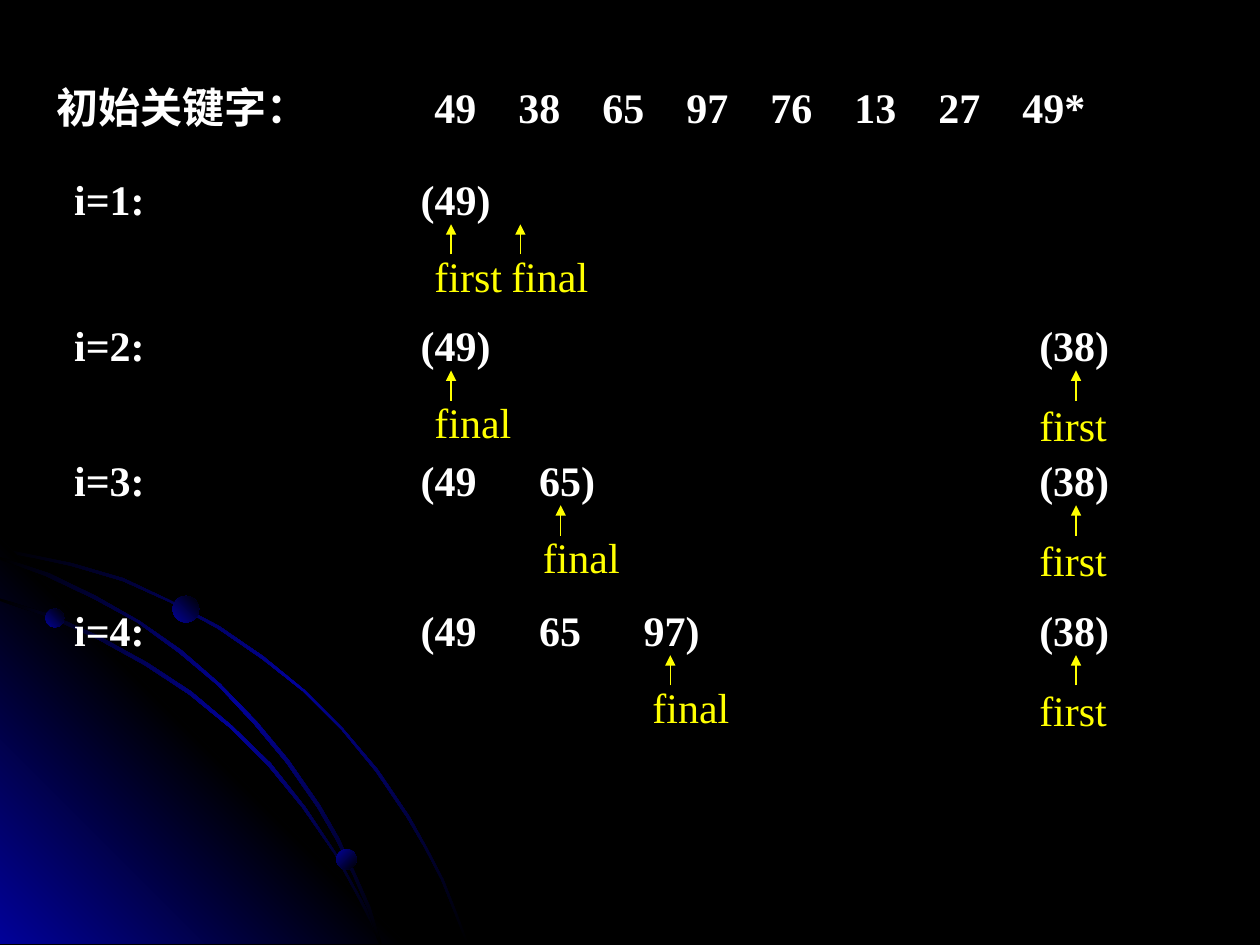
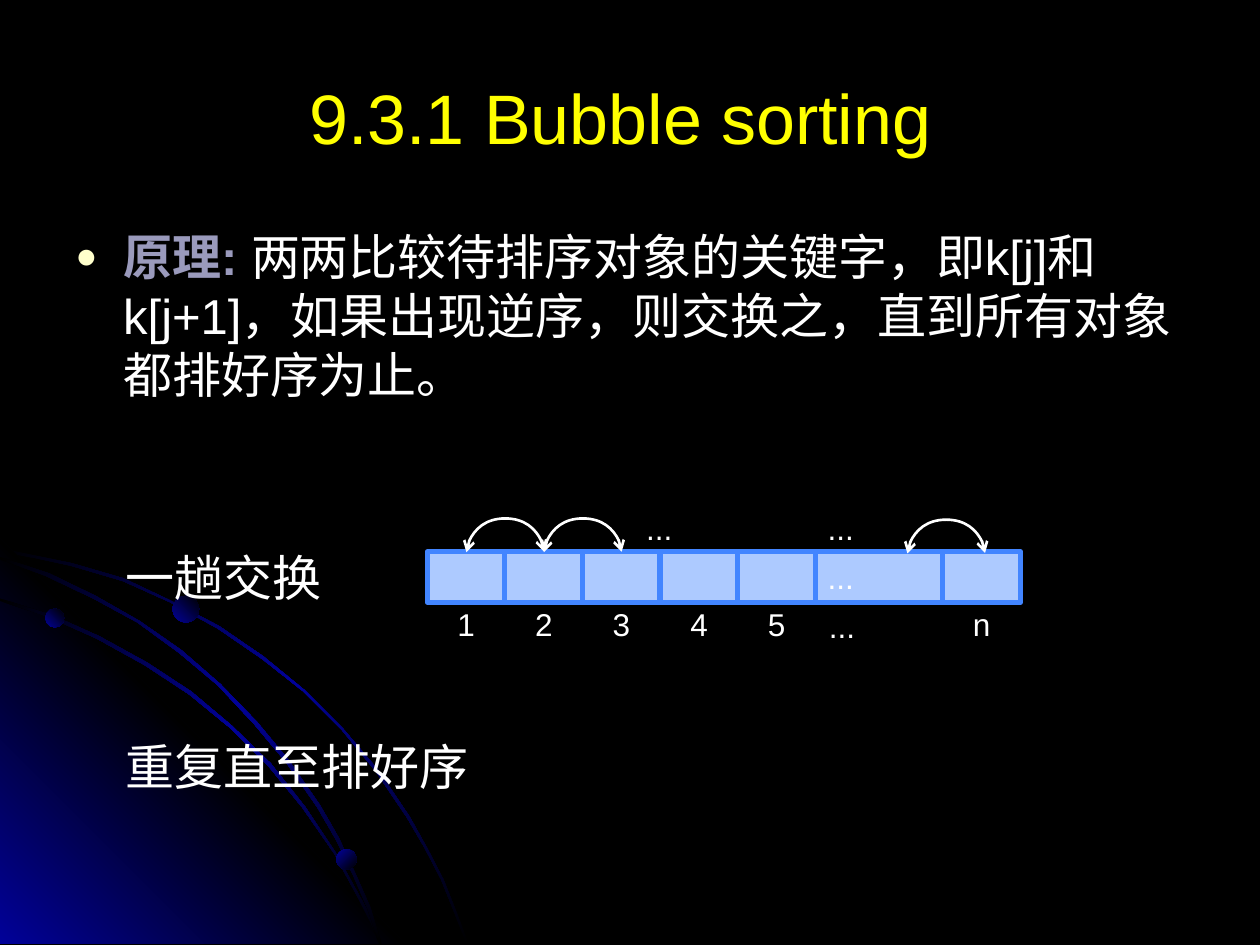
from lxml import etree
from pptx import Presentation
from pptx.dml.color import RGBColor
from pptx.enum.shapes import MSO_CONNECTOR, MSO_SHAPE
from pptx.enum.text import MSO_ANCHOR, PP_ALIGN
from pptx.oxml.ns import qn
from pptx.util import Inches, Pt

STRAIGHT, CURVE = MSO_CONNECTOR.STRAIGHT, MSO_CONNECTOR.CURVE
RECTANGLE, OVAL = MSO_SHAPE.RECTANGLE, MSO_SHAPE.OVAL
TOP, MIDDLE = MSO_ANCHOR.TOP, MSO_ANCHOR.MIDDLE
LEFT, CENTER = PP_ALIGN.LEFT, PP_ALIGN.CENTER

COLORS = {
    "background": "000000",
    "glow": "010199",
    "text": "FFFFFF",
    "accent": "FFFF00",
    "bullet": "FFFFCC",
    "term": "9A9ABC",
    "cell": "ADCAFF",
    "cell_edge": "4285FF",
}
SANS, SERIF = "Arial", "Times New Roman"

ARC_GLOW = ("background", "glow", "background")
CORNER_GLOW = ("glow", "background", "glow")
DOT_GLOW = ("glow", "background")

OUTER_ARC = [
    (0.57, 4.47), (0.28, 4.41), (0, 4.35), (0, 4.38), (0.28, 4.43), (0.56, 4.49),
    (0.97, 4.61), (1.35, 4.78), (1.73, 4.99), (2.08, 5.23), (2.41, 5.49), (2.71, 5.79),
    (2.98, 6.12), (3.23, 6.49), (3.37, 6.73), (3.5, 6.98), (3.6, 7.23), (3.7, 7.49),
    (3.72, 7.49), (3.62, 7.23), (3.52, 6.98), (3.39, 6.73), (3.25, 6.48), (3, 6.11),
    (2.72, 5.78), (2.42, 5.48), (2.09, 5.21), (1.74, 4.97), (1.36, 4.77), (0.98, 4.59),
]
CORNER = [(3.22, 7.49), (0, 7.49), (0, 4.27)]
INNER_ARC = [
    (2.85, 7.14), (2.94, 7.32), (3.01, 7.49), (3.03, 7.49), (2.96, 7.3), (2.86, 7.12),
    (2.66, 6.76), (2.42, 6.4), (2.15, 6.06), (1.84, 5.76), (1.52, 5.49), (1.17, 5.26),
    (0.79, 5.05), (0.41, 4.88), (0, 4.75), (0, 4.77), (0.39, 4.9), (0.77, 5.07),
    (1.15, 5.28), (1.5, 5.51), (1.83, 5.78), (2.13, 6.08), (2.4, 6.41), (2.65, 6.77),
]
MIDDLE_ARC = [
    (0, 4.42), (0, 4.44), (0.36, 4.57), (0.74, 4.75), (1.09, 4.94), (1.42, 5.18),
    (1.73, 5.44), (2.02, 5.75), (2.27, 6.05), (2.52, 6.41), (2.67, 6.67), (2.8, 6.94),
    (2.92, 7.22), (3.01, 7.49), (3.03, 7.49), (2.94, 7.2), (2.82, 6.93), (2.69, 6.65),
    (2.54, 6.39), (2.29, 6.03), (2.04, 5.73), (1.75, 5.43), (1.44, 5.16), (1.11, 4.93),
    (0.76, 4.73), (0.39, 4.55),
]
OUTLINES = [
    (OUTER_ARC, ARC_GLOW, 45),
    (CORNER, CORNER_GLOW, 315),
    (INNER_ARC, ARC_GLOW, 45),
    (MIDDLE_ARC, ARC_GLOW, 45),
]
DOTS = [(0.36, 4.83, 0.15, 315), (2.67, 6.74, 0.16, 45), (1.37, 4.73, 0.21, 315)]

KEY_STOPS = [3 + i * 2 / 3 for i in range(8)]
STEP_STOPS = [2.75, 3.69, 4.52, 7.66]
FIRST_RIGHT = ("first", 8.15, 8.54, 0.63)
STEPS = [
    (1.33, "i=1:\t(49)", [("first", 3.35, 3.58, 0.61), ("final", 3.96, 4.13, 0.61)]),
    (2.49, "i=2:\t(49)\t\t\t(38)", [("final", 3.35, 3.58, 0.61), FIRST_RIGHT]),
    (3.56, "i=3:\t(49\t65)\t\t(38)", [("final", 4.21, 4.45, 0.61), FIRST_RIGHT]),
    (4.75, "i=4:\t(49\t65\t97)\t(38)", [("final", 5.08, 5.32, 0.61), FIRST_RIGHT]),
]


def rgb(name):
    return RGBColor.from_string(COLORS[name])


def child(parent, tag, **attributes):
    return etree.SubElement(parent, qn(tag), **attributes)


def paint_glow(shape, stops, angle):
    shape.shadow.inherit = False
    shape.line.fill.background()
    shape.fill.gradient()
    shape.fill.gradient_angle = 360 - angle
    stop_list = shape._element.spPr.find(qn("a:gradFill")).find(qn("a:gsLst"))
    for stop in list(stop_list):
        stop_list.remove(stop)
    for i, name in enumerate(stops):
        stop = child(stop_list, "a:gs", pos=str(100000 * i // (len(stops) - 1)))
        child(stop, "a:srgbClr", val=COLORS[name])


def add_orbits(slide):
    for points, stops, angle in OUTLINES:
        corners = [(Inches(x), Inches(y)) for x, y in points]
        outline = slide.shapes.build_freeform(*corners[0])
        outline.add_line_segments(corners[1:], close=True)
        paint_glow(outline.convert_to_shape(), stops, angle)
    for left, top, size, angle in DOTS:
        dot = slide.shapes.add_shape(
            OVAL, Inches(left), Inches(top), Inches(size), Inches(size))
        paint_glow(dot, DOT_GLOW, angle)


def add_run(paragraph, text, size, color="text", font=SANS, bold=False):
    run = paragraph.add_run()
    run.text = text
    run.font.size = Pt(size)
    run.font.name = font
    run.font.bold = bold
    run.font.color.rgb = rgb(color)


def add_frame(slide, left, top, width, height, align=LEFT, anchor=TOP):
    frame = slide.shapes.add_textbox(
        Inches(left), Inches(top), Inches(width), Inches(height)).text_frame
    frame.word_wrap = True
    frame.vertical_anchor = anchor
    frame.paragraphs[0].alignment = align
    return frame.paragraphs[0]


def add_key_row(slide, left, top, text, stops):
    row = add_frame(slide, left, top, 9.2, 0.5)
    tabs = child(row._p.get_or_add_pPr(), "a:tabLst")
    for stop in stops:
        child(tabs, "a:tab", pos=str(Inches(stop)), algn="l")
    add_run(row, text, 24, font=SERIF, bold=True)


def add_arrow(slide, kind, start, end, color, width, **heads):
    arrow = slide.shapes.add_connector(kind, *map(Inches, start + end))
    arrow.line.color.rgb = rgb(color)
    arrow.line.width = Pt(width)
    line = arrow.line._get_or_add_ln()
    for tag, style in heads.items():
        child(line, f"a:{tag}", type=style)
    child(arrow._element.spPr, "a:effectLst")
    return arrow


def add_pointer(slide, row_top, label, label_left, arrow_x, drop):
    caption = add_frame(slide, label_left, row_top + drop, 0.94, 0.5)
    add_run(caption, label, 24, "accent", SERIF)
    add_arrow(slide, STRAIGHT, (arrow_x, row_top + 0.69), (arrow_x, row_top + 0.45),
              "accent", 0.75, tailEnd="triangle")


def add_swap_arc(slide, left, base, span):
    middle = left + span / 2
    arc = add_arrow(slide, CURVE, (middle, base - span / 2), (middle, base + span / 2),
                    "text", 1.5, headEnd="arrow", tailEnd="arrow")
    arc.width = Pt(0.25)
    properties = arc._element.spPr
    properties.find(qn("a:xfrm")).set("rot", str(270 * 60000))
    guides = properties.find(qn("a:prstGeom")).find(qn("a:avLst"))
    child(guides, "a:gd", name="adj1", fmla="val 7550000")


def add_cell(slide, left, width, text=""):
    cell = slide.shapes.add_shape(
        RECTANGLE, Inches(left), Inches(4.38), Inches(width), Inches(0.4))
    cell.shadow.inherit = False
    cell.fill.solid()
    cell.fill.fore_color.rgb = rgb("cell")
    cell.line.color.rgb = rgb("cell_edge")
    cell.line.width = Pt(3)
    if text:
        cell.text_frame.vertical_anchor = TOP
        cell.text_frame.paragraphs[0].alignment = LEFT
        add_run(cell.text_frame.paragraphs[0], text, 18)


def add_principle(slide):
    principle = add_frame(slide, 0.5, 1.75, 9, 4.95)
    properties = principle._p.get_or_add_pPr()
    properties.set("marL", str(Inches(0.38)))
    properties.set("indent", str(Inches(-0.38)))
    child(child(properties, "a:buClr"), "a:srgbClr", val=COLORS["bullet"])
    child(properties, "a:buSzPct", val="75000")
    child(properties, "a:buFont", typeface=SANS)
    child(properties, "a:buChar", char="●")
    add_run(principle, "原理: ", 28, "term", bold=True)
    add_run(principle, "两两比较待排序对象的关键字，即k[j]和k[j+1]，如果出现逆序，"
                       "则交换之，直到所有对象都排好序为止。", 28)


def add_array(slide):
    first, gap, last, width = 3.39, 6.47, 7.48, 0.62
    pitch = (gap - first) / 5
    lefts = [first + i * pitch for i in range(5)]
    for left in lefts:
        add_cell(slide, left, width)
    add_cell(slide, gap, last - gap, "...")
    add_cell(slide, last, width)
    for left, index in zip(lefts + [last], "12345n"):
        add_run(add_frame(slide, left, 4.75, width, 0.4, CENTER), index, 18)
    for left, top in [(6.48, 4.77), (6.47, 3.99), (5.03, 3.99)]:
        add_run(add_frame(slide, left, top, 0.46, 0.4), "...", 18)
    for left, base in [(3.7, 4.38), (3.7 + pitch, 4.38), (7.2, 4.39)]:
        add_swap_arc(slide, left, base, pitch)


def build_trace(slide):
    add_orbits(slide)
    add_key_row(slide, 0.35, 0.6, "初始关键字：\t49\t38\t65\t97\t76\t13\t27\t49*", KEY_STOPS)
    for top, text, pointers in STEPS:
        add_key_row(slide, 0.49, top, text, STEP_STOPS)
        for pointer in pointers:
            add_pointer(slide, top, *pointer)


def build_bubble_sorting(slide):
    add_orbits(slide)
    title = add_frame(slide, 0.5, 0.3, 9, 1.25, CENTER, MIDDLE)
    add_run(title, "9.3.1 Bubble sorting ", 40, "accent")
    add_principle(slide)
    add_array(slide)
    for top, text in [(4.3, "一趟交换"), (5.8, "重复直至排好序")]:
        add_run(add_frame(slide, 0.9, top, 5.45, 0.57), text, 28)


def main():
    deck = Presentation()
    deck.slide_width, deck.slide_height = Inches(10), Inches(7.5)
    background = deck.slide_master.background.fill
    background.solid()
    background.fore_color.rgb = rgb("background")
    blank = deck.slide_layouts[6]
    for build in (build_trace, build_bubble_sorting):
        build(deck.slides.add_slide(blank))
    deck.save("out.pptx")


if __name__ == "__main__":
    main()
